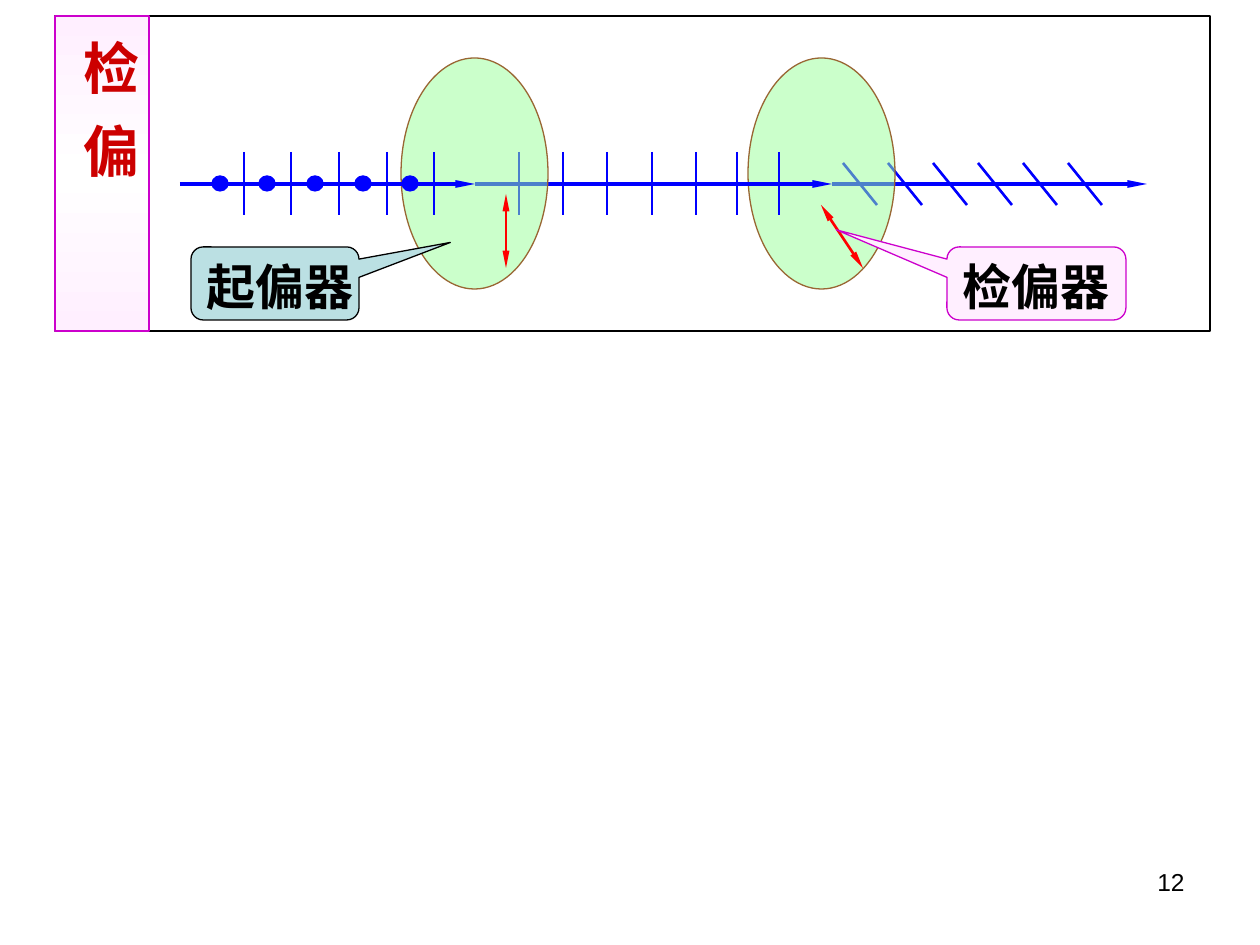
"""Builds a slide showing how a polarizer and an analyzer act on light."""
from copy import deepcopy

from lxml import etree
from pptx import Presentation
from pptx.dml.color import RGBColor
from pptx.enum.shapes import MSO_CONNECTOR, MSO_SHAPE
from pptx.enum.text import MSO_ANCHOR, PP_ALIGN
from pptx.oxml.ns import qn
from pptx.util import Emu, Inches, Pt

RECTANGLE = MSO_SHAPE.RECTANGLE
OVAL = MSO_SHAPE.OVAL
CALLOUT = MSO_SHAPE.ROUNDED_RECTANGULAR_CALLOUT
STRAIGHT = MSO_CONNECTOR.STRAIGHT
TOP = MSO_ANCHOR.TOP
LEFT = PP_ALIGN.LEFT
RIGHT = PP_ALIGN.RIGHT

BLACK = RGBColor(0x00, 0x00, 0x00)
WHITE = RGBColor(0xFF, 0xFF, 0xFF)
BLUE = RGBColor(0x00, 0x00, 0xFF)
RED = RGBColor(0xFF, 0x00, 0x00)
DARK_RED = RGBColor(0xCC, 0x00, 0x00)
GREEN = RGBColor(0x99, 0xFF, 0x99)
BROWN = RGBColor(0x99, 0x66, 0x33)
PINK = RGBColor(0xFF, 0xEF, 0xFF)
MAGENTA = RGBColor(0xCC, 0x00, 0xCC)
TEAL = RGBColor(0xBB, 0xE0, 0xE3)

SERIF = "Times New Roman"
SANS = "Arial"
BEAM_Y = 184


def px(length):
    return Emu(round(length * 914400 / 126))


class Diagram:
    """Draws the parts of the polarization diagram on one slide."""

    def __init__(self, slide):
        self.shapes = slide.shapes

    def shape(self, kind, left, top, width, height, fill, outline):
        shape = self.shapes.add_shape(kind, px(left), px(top), px(width), px(height))
        shape.shadow.inherit = False
        shape.fill.solid()
        shape.fill.fore_color.rgb = fill
        shape.line.color.rgb = outline
        shape.line.width = Pt(0.75)
        return shape

    def line(self, start, end, color=BLUE, width=1.5, arrows=()):
        line = self.shapes.add_connector(STRAIGHT, *map(px, start + end))
        line.line.color.rgb = color
        line.line.width = Pt(width)
        properties = line._element.spPr
        etree.SubElement(properties, qn("a:effectLst"))
        for arrow in arrows:
            etree.SubElement(properties.find(qn("a:ln")), qn(arrow), type="triangle", w="sm", len="lg")

    def beam(self, start, end):
        self.line((start, BEAM_Y), (end, BEAM_Y), width=2.25, arrows=("a:tailEnd",))

    def ticks(self, lefts, top, bottom, slant=0):
        for left in lefts:
            self.line((left, top), (left + slant, bottom))

    def filter(self, left, axis_start, axis_end):
        disc = self.shape(OVAL, left, 58, 147, 231, GREEN, BROWN)
        color = disc._element.spPr.find(qn("a:solidFill"))[0]
        etree.SubElement(color, qn("a:alpha"), val="50000")
        self.line(axis_start, axis_end, RED, arrows=("a:headEnd", "a:tailEnd"))

    def text(self, shape, text, size, color=BLACK, font=SERIF, bold=True, align=LEFT):
        frame = shape.text_frame
        frame.word_wrap = True
        frame.vertical_anchor = TOP
        frame.text = text
        para = frame.paragraphs[0]
        para.alignment = align
        span = para.runs[0]
        span.font.size = Pt(size)
        span.font.name = font
        span.font.bold = bold
        span.font.color.rgb = color
        return frame

    def callout(self, left, width, text, fill, outline, tip):
        box = self.shape(CALLOUT, left, 247, width, 73, fill, outline)
        for index, value in enumerate(tip + (0.167,)):
            box.adjustments[index] = value
        frame = self.text(box, text, 28)
        frame.margin_left = px(12)
        frame.margin_right = 0

    def heading(self, text):
        strip = self.shape(RECTANGLE, 55, 16, 94, 315, PINK, MAGENTA)
        strip.fill.gradient()
        strip.fill.gradient_angle = 90
        stop_list = strip._element.spPr.find(".//" + qn("a:gsLst"))
        stop_list.append(deepcopy(stop_list[-1]))
        for stop, color, position in zip(strip.fill.gradient_stops, (PINK, WHITE, PINK), (0, 0.5, 1)):
            stop.color.rgb = color
            stop.position = position
        frame = self.text(strip, text, 32, DARK_RED)
        frame._txBody.bodyPr.set("vert", "eaVert")
        para = frame.paragraphs[0]
        para._p.get_or_add_pPr().set("marL", str(px(12)))
        para.runs[0]._r.get_or_add_rPr().set("spc", "400")

    def page_number(self, text):
        box = self.shapes.add_textbox(px(903), px(861), px(294), px(66))
        self.text(box, text, 14, font=SANS, bold=False, align=RIGHT)


def main():
    deck = Presentation()
    deck.slide_width, deck.slide_height = Inches(10), Inches(7.5)
    diagram = Diagram(deck.slides.add_slide(deck.slide_layouts[6]))

    diagram.shape(RECTANGLE, 55, 16, 1155, 315, WHITE, BLACK)
    diagram.beam(832, 1147)
    diagram.ticks(range(843, 1069, 45), 163, 205, slant=34)
    diagram.filter(748, (863, 268), (821, 205))
    diagram.callout(947, 179, "检偏器", PINK, MAGENTA, (-1.118, -0.735))
    diagram.heading("检 偏")

    diagram.beam(475, 832)
    diagram.ticks((519, 563, 607, 652, 696, 737, 779), 152, 215)
    diagram.filter(401, (506, 268), (506, 194))

    diagram.beam(180, 475)
    wave_lefts = [244 + 143 * index // 3 for index in range(5)]
    diagram.ticks(wave_lefts, 152, 215)
    for left in wave_lefts:
        diagram.shape(OVAL, left - 32, 176, 16, 15, BLUE, BLUE)
    diagram.callout(191, 168, "起偏器", TEAL, BLACK, (1.044, -0.562))
    diagram.page_number("12")

    deck.save("out.pptx")


if __name__ == "__main__":
    main()
